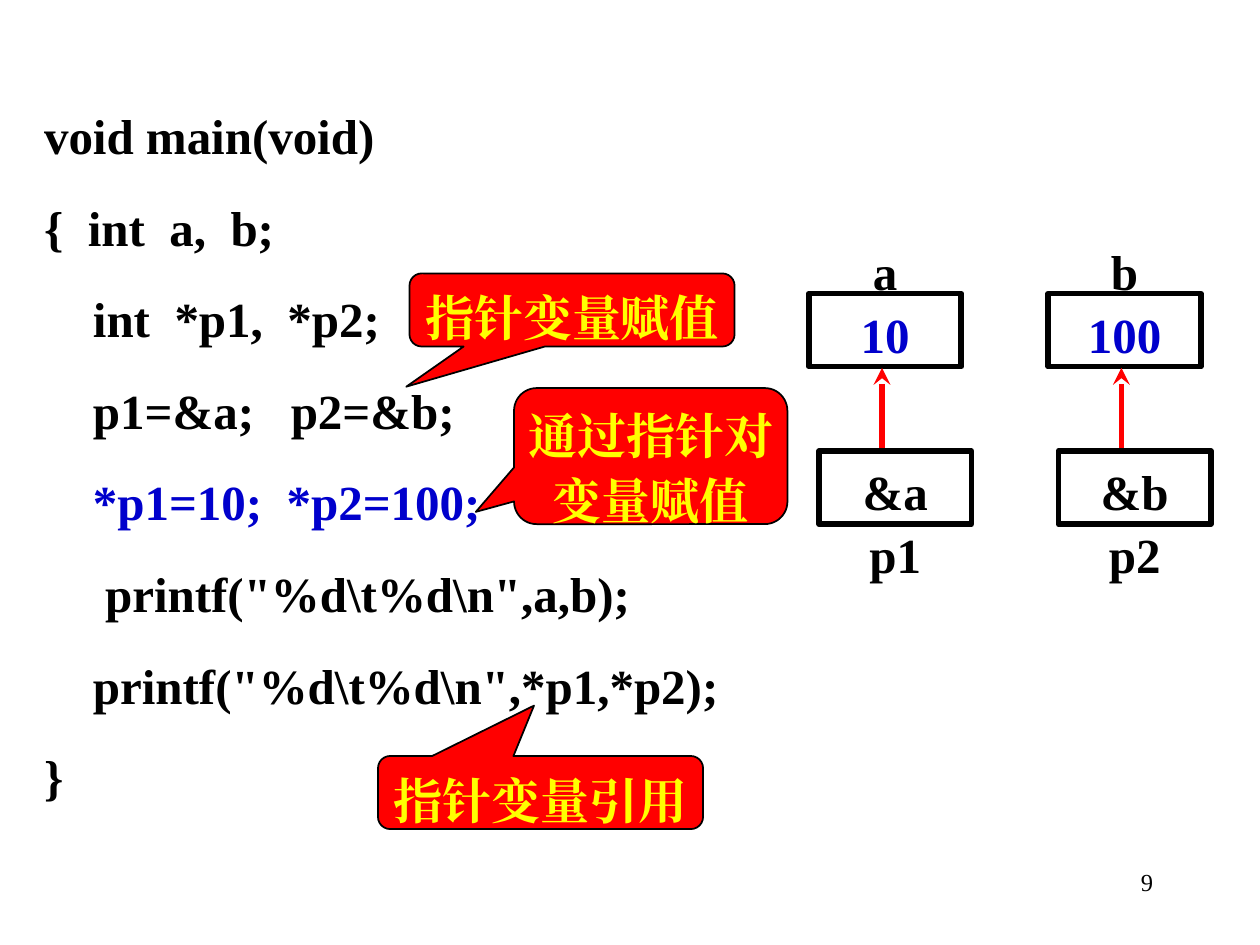
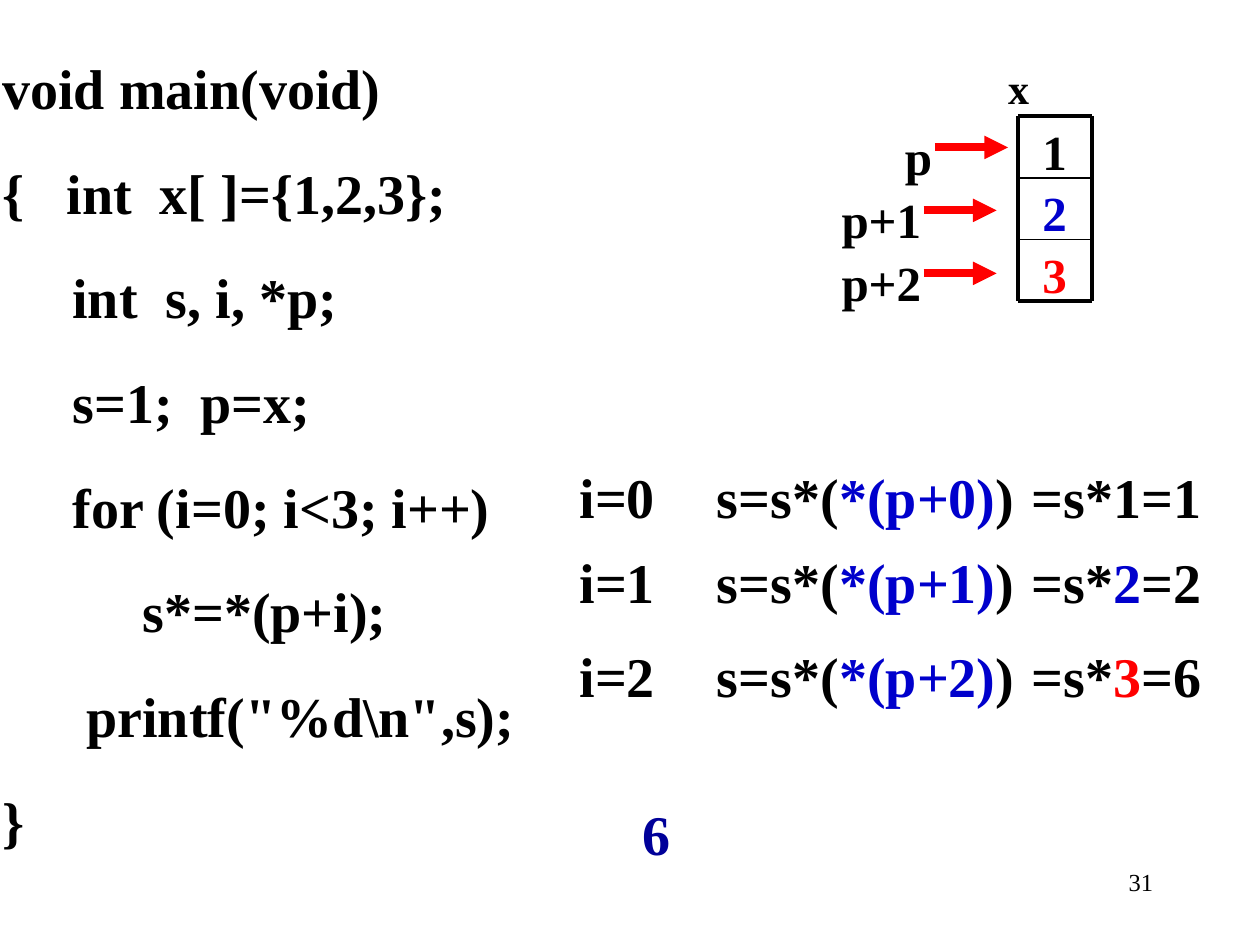
from lxml import etree
from pptx import Presentation
from pptx import util as u
from pptx.dml.color import RGBColor
from pptx.enum import shapes, text
from pptx.oxml import ns

BLACK = RGBColor(0x00, 0x00, 0x00)
BLUE = RGBColor(0x00, 0x00, 0xCC)
NAVY = RGBColor(0x00, 0x00, 0x99)
RED = RGBColor(0xFF, 0x00, 0x00)
YELLOW = RGBColor(0xFF, 0xFF, 0x00)
FONT = "Times New Roman"
BLANK_LAYOUT = 6
CENTER = text.PP_ALIGN.CENTER
LEFT = text.PP_ALIGN.LEFT


class SlideBuilder:
    def __init__(self, presentation):
        self.presentation = presentation
        self.slide = None

    def new_slide(self, number):
        layout = self.presentation.slide_layouts[BLANK_LAYOUT]
        self.slide = self.presentation.slides.add_slide(layout)
        box = self.slide.shapes.add_textbox(
            u.Inches(7.17), u.Inches(6.83), u.Inches(2.08), u.Inches(0.5))
        paragraph = box.text_frame.paragraphs[0]
        paragraph.alignment = text.PP_ALIGN.RIGHT
        self.run(paragraph, number, 14, BLACK, bold=False)

    def run(self, paragraph, content, size, color, bold=True):
        run = paragraph.add_run()
        run.text = content
        run.font.name = FONT
        run.font.size = u.Pt(size)
        run.font.bold = bold
        run.font.color.rgb = color
        east_asian = etree.SubElement(run.font._element, ns.qn("a:ea"))
        east_asian.set("typeface", FONT)

    def fill_text(self, shape, lines, size, align, spacing=1.1, side=0.02):
        frame = shape.text_frame
        frame.word_wrap = True
        frame.vertical_anchor = text.MSO_ANCHOR.TOP
        frame.margin_left = frame.margin_right = u.Inches(side)
        frame.margin_top = u.Inches(0.04)
        frame.margin_bottom = u.Inches(0.01)
        for index, runs in enumerate(lines):
            paragraph = frame.add_paragraph() if index else frame.paragraphs[0]
            paragraph.alignment = align
            paragraph.line_spacing = spacing
            paragraph.space_before = u.Pt(round(size * 0.55, 1) if index else 0)
            for content, color in runs:
                self.run(paragraph, content, size, color)

    def label(self, left, top, width, height, lines, size=28, align=CENTER, spacing=1.1):
        box = self.slide.shapes.add_textbox(
            u.Inches(left), u.Inches(top), u.Inches(width), u.Inches(height))
        self.fill_text(box, lines, size, align, spacing)

    def shape(self, preset, left, top, width, height, line_width):
        shape = self.slide.shapes.add_shape(
            preset, u.Inches(left), u.Inches(top), u.Inches(width), u.Inches(height))
        shape.shadow.inherit = False
        shape.line.color.rgb = BLACK
        shape.line.width = u.Pt(line_width)
        return shape

    def variable(self, left, top, content, color):
        shape = self.shape(shapes.MSO_SHAPE.RECTANGLE, left, top, 1.21, 0.58, 3.25)
        shape.fill.background()
        self.fill_text(shape, [[(content, color)]], 28, CENTER)

    def callout(self, left, top, width, height, tip, content):
        shape = self.shape(shapes.MSO_SHAPE.ROUNDED_RECTANGULAR_CALLOUT,
                           left, top, width, height, 1)
        shape.adjustments[0], shape.adjustments[1] = tip
        shape.fill.solid()
        shape.fill.fore_color.rgb = RED
        self.fill_text(shape, [[(content, YELLOW)]], 28, CENTER, side=0)

    def line(self, start, end, width, color=BLACK, arrowhead=None):
        connector = self.slide.shapes.add_connector(
            shapes.MSO_CONNECTOR.STRAIGHT, *map(u.Inches, start + end))
        connector.line.color.rgb = color
        connector.line.width = u.Pt(width)
        if arrowhead:
            tail = etree.SubElement(connector.line._get_or_add_ln(), ns.qn("a:tailEnd"))
            tail.set("type", arrowhead)
        etree.SubElement(connector._element.spPr, ns.qn("a:effectLst"))


def black_lines(*lines):
    return [[(line, BLACK)] for line in lines]


def build_pointer_assignment(builder):
    builder.new_slide("9")
    code = black_lines(
        "void main(void)",
        "{  int  a,  b;",
        "    int  *p1,  *p2;",
        "    p1=&a;   p2=&b;",
        "    ",
        "     printf(\"%d\\t%d\\n\",a,b);",
        "    printf(\"%d\\t%d\\n\",*p1,*p2);",
        "}")
    code[4].append(("*p1=10;  *p2=100;", BLUE))
    builder.label(0.33, 0.75, 5.83, 5.78, code, align=LEFT)

    variables = [("a", "10", "p1"), ("b", "100", "p2")]
    for column, (name, value, pointer) in enumerate(variables):
        left = 6.42 + column * 1.9
        builder.variable(left, 2.33, value, BLUE)
        builder.label(left, 1.83, 1.21, 0.54, black_lines(name))
        builder.line((left + 0.58, 3.58), (left + 0.58, 2.92), 3.25, RED, "stealth")
        builder.variable(left + 0.08, 3.58, "&" + name, BLACK)
        builder.label(left + 0.08, 4.08, 1.21, 0.54, black_lines(pointer))

    builder.callout(4.08, 3.08, 2.17, 1.08, (-0.64, 0.41), "通过指针对变量赋值")
    builder.callout(3.25, 2.17, 2.58, 0.58, (-0.51, 1.05), "指针变量赋值")
    builder.callout(3, 6, 2.58, 0.58, (-0.02, -1.19), "指针变量引用")


def build_array_product(builder):
    builder.new_slide("31")
    code = black_lines(
        "void main(void)",
        "{   int  x[ ]={1,2,3};",
        "     int  s, i, *p;",
        "     s=1;  p=x;",
        "     for (i=0; i<3; i++)",
        "          s*=*(p+i);",
        "      printf(\"%d\\n\",s);",
        "}")
    builder.label(0, 0.33, 4.83, 6.59, code, 32, LEFT)
    builder.label(5.08, 6.25, 1.42, 0.61, [[("6", NAVY)]], 32, LEFT)

    left, right, top, cell_height = 8.08, 8.67, 0.92, 0.49
    colors = [BLACK, BLUE, RED]
    builder.label(7.92, 0.42, 0.33, 0.46, black_lines("x"), 24)
    for index, color in enumerate(colors):
        builder.label(left, top + index * cell_height, 0.58, cell_height,
                      [[(str(index + 1), color)]], spacing=1.0)
    for index in range(4):
        y = top + index * cell_height
        builder.line((left, y), (right, y), 1 if index in (1, 2) else 2.25)
    for x in (left, right):
        builder.line((x, top), (x, top + 3 * cell_height), 2.25)

    pointers = [("p", 7.08, 0.42, 7.42), ("p+1", 6.58, 0.83, 7.33), ("p+2", 6.58, 0.83, 7.33)]
    for index, (name, name_left, width, start) in enumerate(pointers):
        offset = index * 0.5
        builder.label(name_left, 0.92 + offset, width, 0.54, black_lines(name))
        builder.line((start, 1.17 + offset), (start + 0.58, 1.17 + offset), 4.5, RED, "triangle")

    steps = zip((3.58, 4.25, 5), colors, (1, 2, 6))
    for index, (y, color, product) in enumerate(steps):
        builder.label(4.58, y, 0.75, 0.61, black_lines(f"i={index}"), 32, LEFT)
        builder.label(5.67, y, 2.42, 0.61,
                      [[("s=s*(", BLACK), (f"*(p+{index})", BLUE), (")", BLACK)]], 32, LEFT)
        builder.label(8.17, y, 1.58, 0.61,
                      [[("=s*", BLACK), (str(index + 1), color), (f"={product}", BLACK)]], 32, LEFT)


def main():
    presentation = Presentation()
    presentation.slide_width = u.Inches(10)
    presentation.slide_height = u.Inches(7.5)
    builder = SlideBuilder(presentation)
    build_pointer_assignment(builder)
    build_array_product(builder)
    presentation.save("out.pptx")


if __name__ == "__main__":
    main()
